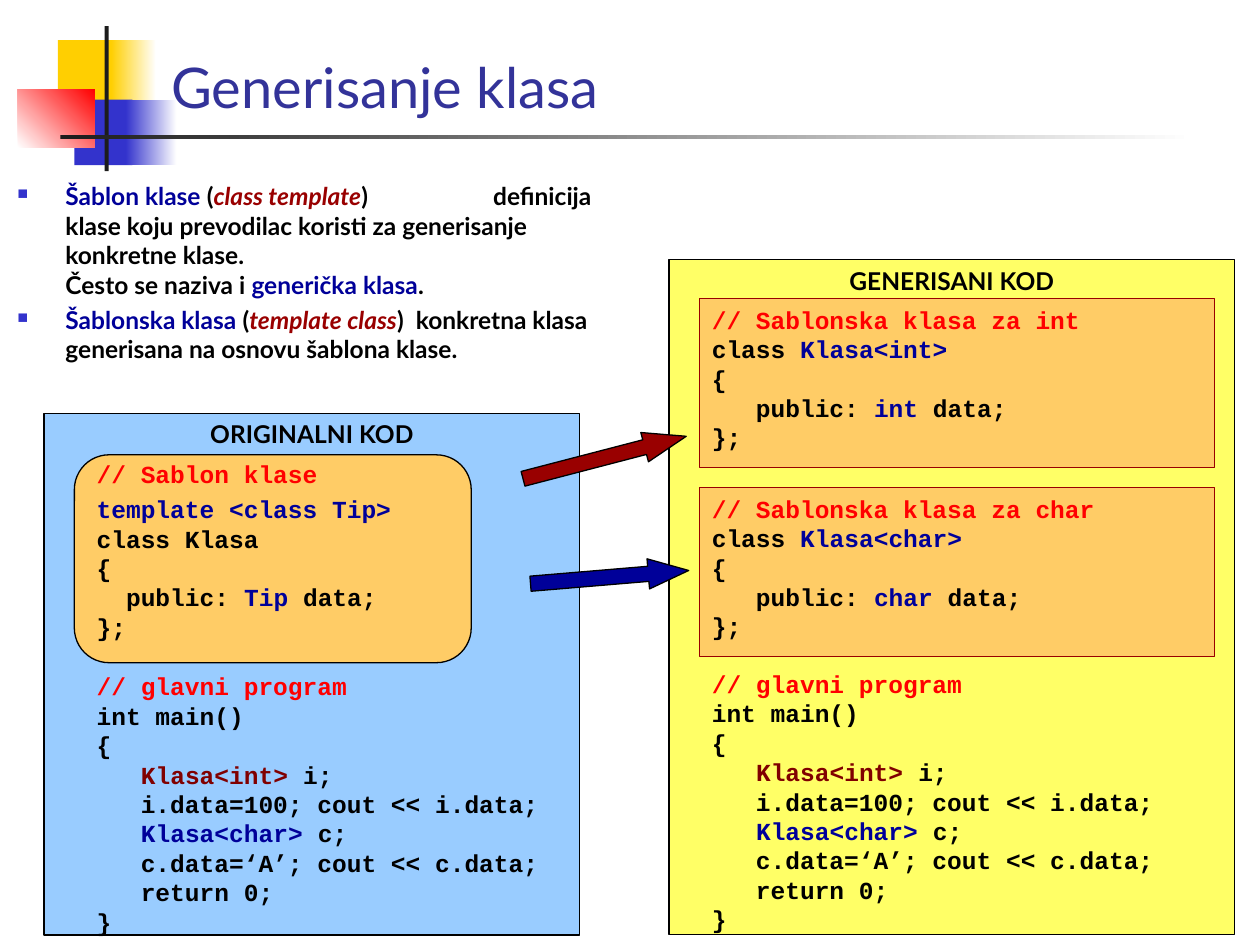
from dataclasses import dataclass

from lxml import etree
from pptx import Presentation
from pptx.dml.color import RGBColor
from pptx.enum.shapes import MSO_SHAPE
from pptx.enum.text import MSO_ANCHOR, PP_ALIGN
from pptx.oxml.ns import qn
from pptx.util import Cm, Pt

RECTANGLE = MSO_SHAPE.RECTANGLE
ROUNDED = MSO_SHAPE.ROUNDED_RECTANGLE
ARROW = MSO_SHAPE.RIGHT_ARROW
TOP, BOTTOM = MSO_ANCHOR.TOP, MSO_ANCHOR.BOTTOM
LEFT, CENTER = PP_ALIGN.LEFT, PP_ALIGN.CENTER


@dataclass(frozen=True)
class Theme:
    text_font: str = "Lato"
    code_font: str = "Courier New"
    title_size: int = 32
    text_size: int = 14
    line_width: float = 0.75
    title: str = "333399"
    bullet: str = "3333CC"
    black: str = "000000"
    white: str = "FFFFFF"
    dark: str = "1C1C1C"
    gold: str = "FFCF01"
    red: str = "FF0000"
    crimson: str = "990000"
    maroon: str = "800000"
    navy: str = "000099"
    yellow: str = "FFFF66"
    sky: str = "99CCFF"
    orange: str = "FFCC66"


theme = Theme()


def add_box(kind, bounds, fill, line=None):
    box = page.shapes.add_shape(kind, *map(Cm, bounds))
    box.shadow.inherit = False
    box.fill.solid()
    box.fill.fore_color.rgb = RGBColor.from_string(fill)
    if line:
        box.line.color.rgb = RGBColor.from_string(line)
        box.line.width = Pt(theme.line_width)
    else:
        box.line.fill.background()
    return box


def write(box, lines, font, align=LEFT):
    frame = box.text_frame
    frame.word_wrap = True
    frame.vertical_anchor = TOP
    for index, spans in enumerate(lines):
        para = frame.paragraphs[0] if index == 0 else frame.add_paragraph()
        para.alignment = align
        para.font.name = font
        para.font.size = Pt(theme.text_size)
        para.font.bold = True
        for text, color in spans:
            if text == "\n":
                para.add_line_break()
                continue
            span = para.add_run()
            span.text = text
            span.font.color.rgb = RGBColor.from_string(color)
    return frame.paragraphs


deck = Presentation()
deck.slide_width, deck.slide_height = Cm(25.4), Cm(19.05)
page = deck.slides.add_slide(deck.slide_layouts[5])

ornaments = [
    ((1.17, 0.81, 1.22, 1.32), theme.gold, None, 0),
    ((2.24, 0.81, 0.91, 1.32), theme.gold, theme.white, 0),
    ((1.5, 2.01, 1.17, 1.32), theme.bullet, None, 0),
    ((2.54, 2.01, 1.02, 1.32), theme.bullet, theme.white, 0),
    ((0.36, 1.8, 1.55, 1.17), theme.white, theme.red, 45),
    ((2.11, 0.53, 0.08, 2.92), theme.dark, None, 0),
    ((1.22, 2.72, 22.86, 0.08), theme.dark, theme.white, 0),
]
for bounds, start, end, angle in ornaments:
    ornament = add_box(RECTANGLE, bounds, start)
    if end:
        ornament.fill.gradient()
        ornament.fill.gradient_angle = angle
        for stop, color in zip(ornament.fill.gradient_stops, (start, end)):
            stop.color.rgb = RGBColor.from_string(color)

title = page.shapes.title
title.left, title.top, title.width, title.height = Cm(3.2), Cm(0.33), Cm(22.2), Cm(2.21)
title.text_frame.text = "Generisanje klasa"
title.text_frame.vertical_anchor = BOTTOM
heading = title.text_frame.paragraphs[0]
heading.alignment = LEFT
heading.font.name = theme.text_font
heading.font.size = Pt(theme.title_size)
heading.font.color.rgb = RGBColor.from_string(theme.title)
page.shapes._spTree.append(title._element)

panels = [
    ("GENERISANI KOD", (13.49, 5.23, 11.4, 13.61), theme.yellow),
    ("ORIGINALNI KOD", (0.89, 8.33, 10.8, 10.52), theme.sky),
]
for label, bounds, fill in panels:
    panel = add_box(RECTANGLE, bounds, fill, theme.black)
    write(panel, [[(label, theme.black)]], theme.text_font, CENTER)

definitions = [
    [
        ("Šablon klase ", theme.navy), ("(", theme.black),
        ("class template", theme.crimson), (")", theme.black), (" ", theme.black),
        ("definicija klase koju prevodilac koristi za generisanje konkretne klase.", theme.black),
        ("\n", theme.black), ("Često se naziva i ", theme.black),
        ("generička klasa", theme.navy), (".", theme.black),
    ],
    [
        ("Šablonska klasa", theme.navy), (" (", theme.black),
        ("template class", theme.crimson),
        (")  konkretna klasa generisana na osnovu šablona klase.", theme.black),
    ],
]
body = page.shapes.add_textbox(Cm(0.1), Cm(3.53), Cm(12.4), Cm(4.8))
items = write(body, definitions, theme.text_font)
for para in items:
    para.runs[2].font.italic = True
    properties = para._p.get_or_add_pPr()
    properties.set("marL", str(Cm(0.97)))
    properties.set("indent", str(-Cm(0.97)))
    color = etree.Element(qn("a:buClr"))
    etree.SubElement(color, qn("a:srgbClr"), val=theme.bullet)
    size = etree.Element(qn("a:buSzPct"), val="60000")
    mark = etree.Element(qn("a:buChar"), char="■")
    default = properties.find(qn("a:defRPr"))
    for element in (color, size, mark):
        default.addprevious(element)
items[0].runs[4].font._element.set("spc", "6800")
items[1].space_before = Pt(3.5)

template_box = add_box(ROUNDED, (1.5, 9.17, 8, 4.19), theme.orange, theme.black)
template_box.adjustments[0] = 0.167
template_code = [
    [("// Sablon klase", theme.red)],
    [("template <class Tip>", theme.navy)],
    [("class Klasa", theme.black)],
    [("{", theme.black)],
    [("  public: ", theme.black), ("Tip", theme.navy), (" data;", theme.black)],
    [("};", theme.black)],
]
template_text = page.shapes.add_textbox(Cm(1.7), Cm(9.12), Cm(7.01), Cm(4.39))
write(template_text, template_code, theme.code_font)[1].space_before = Pt(3.5)

for kind, top in (("int", 6.02), ("char", 9.83)):
    class_box = add_box(RECTANGLE, (14.1, top, 10.39, 3.4), theme.orange, theme.crimson)
    class_code = [
        [(f"// Sablonska klasa za {kind}", theme.red)],
        [("class ", theme.black), (f"Klasa<{kind}>", theme.navy)],
        [("{", theme.black)],
        [("   public: ", theme.black), (kind, theme.navy), (" data;", theme.black)],
        [("};", theme.black)],
    ]
    write(class_box, class_code, theme.code_font)

arrows = [
    ((10.49, 8.92, 3.4, 0.61), -14.6, 1.42, theme.crimson),
    ((10.69, 11.33, 3.2, 0.61), -4.8, 1.34, theme.navy),
]
for bounds, rotation, head, fill in arrows:
    arrow = add_box(ARROW, bounds, fill, theme.black)
    arrow.rotation = rotation
    arrow.adjustments[0] = 0.5
    arrow.adjustments[1] = head

main_code = [
    [("// glavni program", theme.red)],
    [("int main()", theme.black)],
    [("{", theme.black)],
    [("   ", theme.black), ("Klasa<int> ", theme.maroon), ("i;", theme.black)],
    [("   i.data=100; cout << i.data;", theme.black)],
    [("   ", theme.black), ("Klasa<char>", theme.navy), (" c;", theme.black)],
    [("   c.data=‘A’; cout << c.data;", theme.black)],
    [("   return 0;", theme.black)],
    [("}", theme.black)],
]
for left, top in ((1.7, 13.41), (14.1, 13.36)):
    main_text = page.shapes.add_textbox(Cm(left), Cm(top), Cm(9.8), Cm(4.8))
    write(main_text, main_code, theme.code_font)

deck.save("out.pptx")
